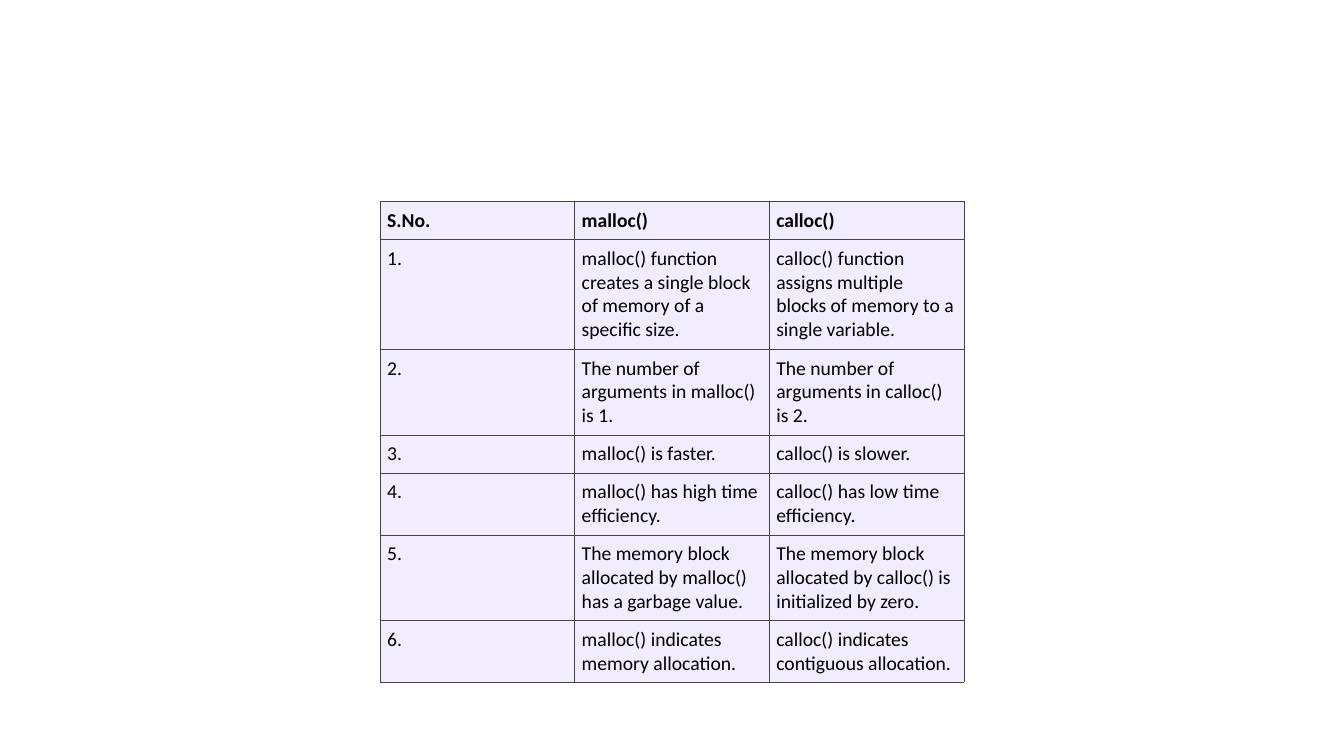
import pptx
import pptx.dml.color
import pptx.oxml
import pptx.oxml.ns
import pptx.util

Inches = pptx.util.Inches
Pt = pptx.util.Pt

FONT = "Calibri"
TEXT, FILL, BORDER = "000000", "F1EDFF", "444444"
MARGIN = Inches(0.07)

HEADER = ("S.No.", "malloc()", "calloc()")
DIFFERENCES = [
    ("malloc() function creates a single block of memory of a specific size.",
     "calloc() function assigns multiple blocks of memory to a single variable."),
    ("The number of arguments in malloc() is 1.",
     "The number of arguments in calloc() is 2."),
    ("malloc() is faster.", "calloc() is slower."),
    ("malloc() has high time efficiency.", "calloc() has low time efficiency."),
    ("The memory block allocated by malloc() has a garbage value.",
     "The memory block allocated by calloc() is initialized by zero."),
    ("malloc() indicates memory allocation.",
     "calloc() indicates contiguous allocation."),
]
ROW_HEIGHTS = [0.37, 1.09, 0.85, 0.37, 0.61, 0.85, 0.61]


def rgb(color):
    return pptx.dml.color.RGBColor.from_string(color)


def set_borders(cell, color, width):
    tc_pr = cell._tc.get_or_add_tcPr()
    for side in ("lnL", "lnR", "lnT", "lnB"):
        tc_pr.append(pptx.oxml.parse_xml(
            f'<a:{side} {pptx.oxml.ns.nsdecls("a")} w="{Pt(width)}">'
            f'<a:solidFill><a:srgbClr val="{color}"/></a:solidFill></a:{side}>'))


def fill_cell(cell, text, bold):
    # Borders precede the fill in the cell properties
    set_borders(cell, BORDER, 0.38)
    cell.fill.solid()
    cell.fill.fore_color.rgb = rgb(FILL)
    cell.margin_left = cell.margin_right = MARGIN
    cell.margin_top = cell.margin_bottom = MARGIN
    r = cell.text_frame.paragraphs[0].add_run()
    r.text = text
    r.font.name, r.font.size, r.font.bold = FONT, Pt(14), bold
    r.font.color.rgb = rgb(TEXT)


def add_comparison(s, left, top, width):
    rows = [HEADER] + [(f"{n}.", *pair) for n, pair in enumerate(DIFFERENCES, 1)]
    table = s.shapes.add_table(
        len(rows), len(HEADER), Inches(left), Inches(top),
        Inches(width), Inches(sum(ROW_HEIGHTS))).table
    table.horz_banding = False
    for row, height in zip(table.rows, ROW_HEIGHTS):
        row.height = Inches(height)
    for i, texts in enumerate(rows):
        for j, text in enumerate(texts):
            fill_cell(table.cell(i, j), text, bold=i == 0)


def main():
    prs = pptx.Presentation()
    prs.slide_width, prs.slide_height = Inches(13.33), Inches(7.5)
    s = prs.slides.add_slide(prs.slide_layouts[6])
    # Comparison table
    add_comparison(s, 3.77, 2, 5.79)
    prs.save("out.pptx")


if __name__ == "__main__":
    main()
